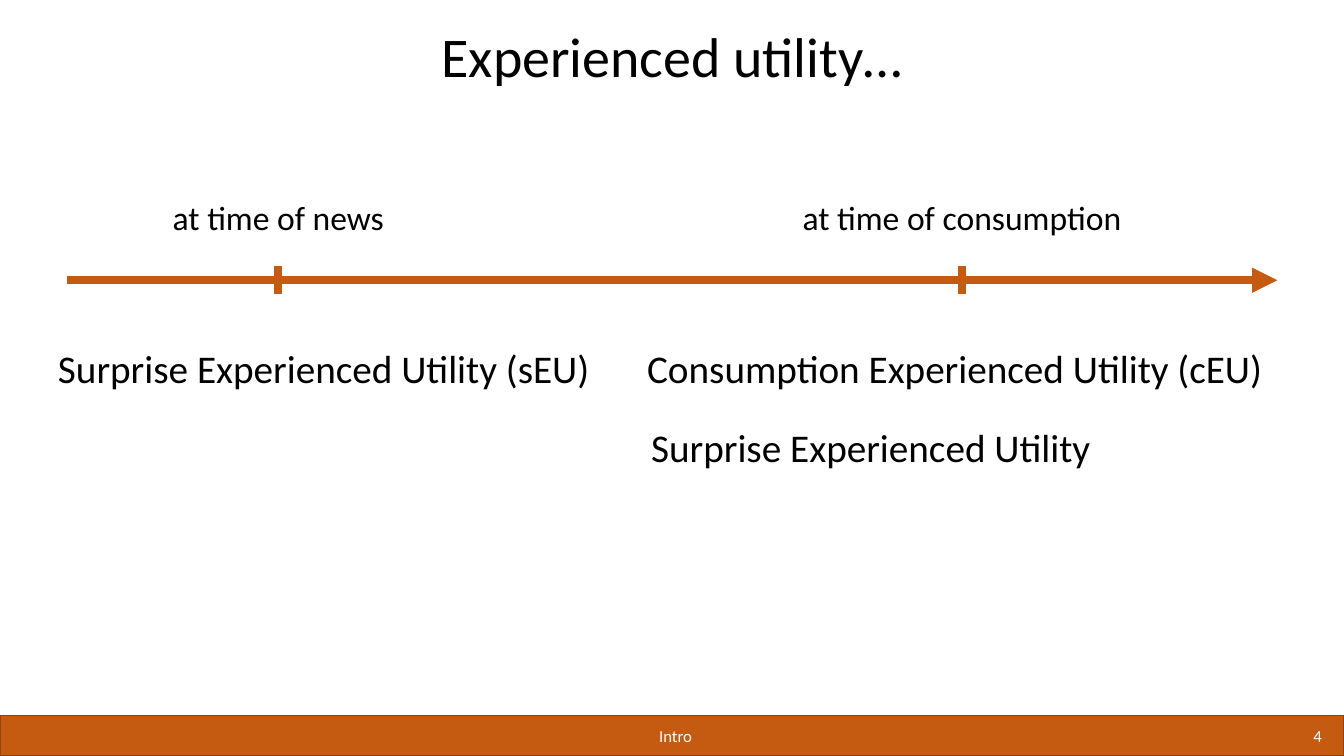
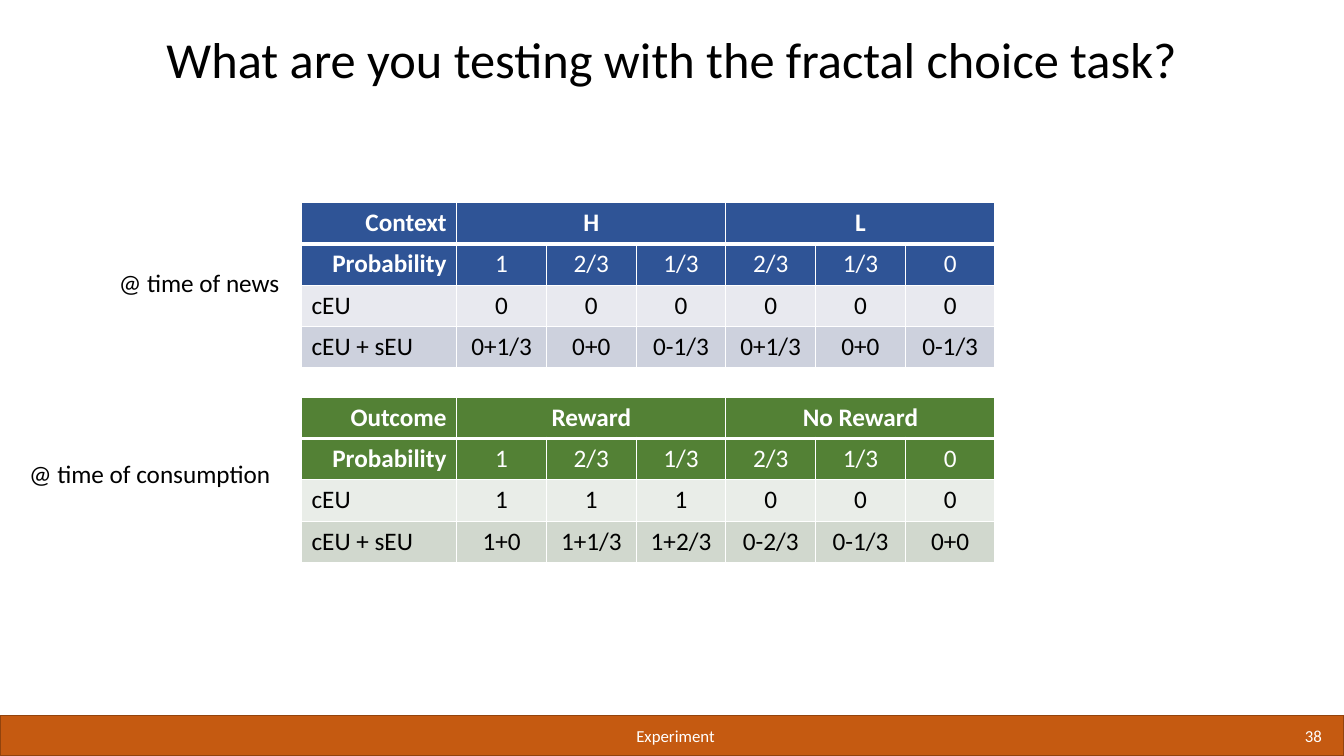
import lxml.etree
import pptx
import pptx.dml.color
import pptx.enum.shapes
import pptx.enum.text
import pptx.oxml.ns
import pptx.util

Inches, Pt = pptx.util.Inches, pptx.util.Pt
RGBColor = pptx.dml.color.RGBColor
ALIGN = pptx.enum.text.PP_ALIGN
ANCHOR = pptx.enum.text.MSO_ANCHOR
qn = pptx.oxml.ns.qn

FONT = "Calibri"
BLACK = RGBColor(0x00, 0x00, 0x00)
WHITE = RGBColor(0xFF, 0xFF, 0xFF)
ORANGE = RGBColor(0xC5, 0x5A, 0x11)
BROWN = RGBColor(0x92, 0x43, 0x0D)
# Header, first body row, second body row
BLUES = (RGBColor(0x2F, 0x54, 0x96), RGBColor(0xE8, 0xE9, 0xEF), RGBColor(0xCD, 0xD1, 0xDD))
GREENS = (RGBColor(0x53, 0x81, 0x35), RGBColor(0xE9, 0xED, 0xE8), RGBColor(0xD1, 0xD8, 0xCE))

SLIDE_W, SLIDE_H = 13.33, 7.5
BAND_H = 0.4
MARGIN = 0.66
TITLE_BOX = (MARGIN, 0.23, SLIDE_W - 2 * MARGIN, 0.71)
TIMELINE_BOX = (MARGIN, 1.9, SLIDE_W - 2 * MARGIN, 1.02)
FIRST_COLUMN, VALUE_COLUMN, ROW_H = 1.54, 0.89, 0.41


def write(paragraph, text, size, color=BLACK, align=ALIGN.LEFT, bold=False):
    paragraph.alignment = align
    run = paragraph.add_run()
    run.text = text
    run.font.name = FONT
    run.font.size = Pt(size)
    run.font.bold = bold
    run.font.color.rgb = color


def add_text(slide, box, text, size, color=BLACK, align=ALIGN.LEFT,
             anchor=ANCHOR.TOP, spacing=None, wrap=True):
    frame = slide.shapes.add_textbox(*map(Inches, box)).text_frame
    frame.word_wrap = wrap
    frame.vertical_anchor = anchor
    paragraph = frame.paragraphs[0]
    paragraph.line_spacing = spacing
    write(paragraph, text, size, color, align)


def add_line(slide, start, end, arrow=False):
    line = slide.shapes.add_connector(
        pptx.enum.shapes.MSO_CONNECTOR.STRAIGHT, *map(Inches, start + end))
    line.line.color.rgb = ORANGE
    line.line.width = Pt(6)
    if arrow:
        lxml.etree.SubElement(line.line._get_or_add_ln(), qn("a:tailEnd"), type="triangle")
    lxml.etree.SubElement(line._element.spPr, qn("a:effectLst"))


def add_footer(slide, section, number):
    top = SLIDE_H - BAND_H
    band = slide.shapes.add_shape(
        pptx.enum.shapes.MSO_SHAPE.RECTANGLE,
        *map(Inches, (0, top, SLIDE_W, BAND_H)))
    band.shadow.inherit = False
    band.fill.solid()
    band.fill.fore_color.rgb = ORANGE
    band.line.color.rgb = BROWN
    band.line.width = Pt(1)
    add_text(slide, (2.24, top, 8.92, BAND_H), section, 12, WHITE, ALIGN.CENTER, ANCHOR.MIDDLE)
    add_text(slide, (11.15, top, 2.06, BAND_H), number, 12, WHITE, ALIGN.RIGHT, ANCHOR.MIDDLE)


def start_slide(deck, title, title_size, section, number):
    """Add a blank slide with the shared band, title and footer."""
    slide = deck.slides.add_slide(deck.slide_layouts[6])
    add_footer(slide, section, number)
    add_text(slide, TITLE_BOX, title, title_size, align=ALIGN.CENTER,
             anchor=ANCHOR.BOTTOM, spacing=0.9)
    return slide


def add_timeline(slide, box, moments):
    """Draw an arrow with a labelled tick at each (offset, label)."""
    left, top, width, height = box
    half_tick, label_w = 0.14, 3.85
    axis = top + height - half_tick
    add_line(slide, (left, axis), (left + width, axis), arrow=True)
    for offset, label in moments:
        x = left + offset
        add_line(slide, (x, axis + half_tick), (x, axis - half_tick))
        add_text(slide, (x - label_w / 2, top, label_w, 0.5), label, 24, align=ALIGN.CENTER)


def set_borders(cell, top, bottom):
    properties = cell._tc.get_or_add_tcPr()
    for side, points in (("L", 1), ("R", 1), ("T", top), ("B", bottom)):
        line = lxml.etree.SubElement(properties, qn("a:ln" + side), w=str(Pt(points)))
        fill = lxml.etree.SubElement(line, qn("a:solidFill"))
        lxml.etree.SubElement(fill, qn("a:srgbClr"), val=str(WHITE))


def add_utility_table(slide, left, top, rows, palette):
    """Build a table whose first row spans three columns per heading."""
    count = len(rows[1])
    width = FIRST_COLUMN + (count - 1) * VALUE_COLUMN
    table = slide.shapes.add_table(
        len(rows), count, *map(Inches, (left, top, width, ROW_H * len(rows)))).table
    table.first_row = table.horz_banding = False
    for index, column in enumerate(table.columns):
        column.width = Inches(VALUE_COLUMN if index else FIRST_COLUMN)
    for start in (1, 4):
        table.cell(0, start).merge(table.cell(0, start + 2))

    fills = (palette[0],) + palette
    for r, (values, fill) in enumerate(zip(rows, fills)):
        header = r < 2
        for c, value in enumerate(values):
            cell = table.cell(r, c)
            set_borders(cell, 3 if r == 1 else 1, 3 if r == 0 else 1)
            cell.fill.solid()
            cell.fill.fore_color.rgb = fill
            if value:
                side = ALIGN.RIGHT if header else ALIGN.LEFT
                write(cell.text_frame.paragraphs[0], value, 18,
                      WHITE if header else BLACK,
                      ALIGN.CENTER if c else side,
                      bold=r == 0 or (header and c == 0))


def build_timeline_slide(deck):
    slide = start_slide(deck, "Experienced utility…", 40, "Intro", "4")
    add_timeline(slide, TIMELINE_BOX,
                 ((2.1, "at time of news"), (8.88, "at time of consumption")))
    for box, text, align in (
        ((6.32, 3.42, 7.01, 0.6), "Consumption Experienced Utility (cEU)", ALIGN.LEFT),
        ((0.23, 3.42, 5.96, 0.71), "Surprise Experienced Utility (sEU)", ALIGN.CENTER),
        ((6.36, 4.2, 5.96, 0.71), "Surprise Experienced Utility", ALIGN.LEFT),
    ):
        add_text(slide, box, text, 28, align=align, spacing=0.9)


def build_tables_slide(deck):
    slide = start_slide(deck, "What are you testing with the fractal choice task?",
                        36, "Experiment", "38")
    probabilities = ("Probability", "1", "2/3", "1/3", "2/3", "1/3", "0")
    news = (
        ("Context", "H", "", "", "L", "", ""),
        probabilities,
        ("cEU", "0", "0", "0", "0", "0", "0"),
        ("cEU + sEU", "0+1/3", "0+0", "0-1/3", "0+1/3", "0+0", "0-1/3"),
    )
    consumption = (
        ("Outcome", "Reward", "", "", "No Reward", "", ""),
        probabilities,
        ("cEU", "1", "1", "1", "0", "0", "0"),
        ("cEU + sEU", "1+0", "1+1/3", "1+2/3", "0-2/3", "0-1/3", "0+0"),
    )
    table_left = 2.99
    for top, rows, palette, label, label_left, label_top in (
        (2.01, news, BLUES, "@ time of news", 1.08, 2.6),
        (3.94, consumption, GREENS, "@ time of consumption", 0.19, 4.5),
    ):
        add_utility_table(slide, table_left, top, rows, palette)
        add_text(slide, (label_left, label_top, table_left - label_left, 0.4),
                 label, 18, wrap=False)


def main():
    deck = pptx.Presentation()
    deck.slide_width, deck.slide_height = Inches(SLIDE_W), Inches(SLIDE_H)
    build_timeline_slide(deck)
    build_tables_slide(deck)
    deck.save("out.pptx")


if __name__ == "__main__":
    main()
